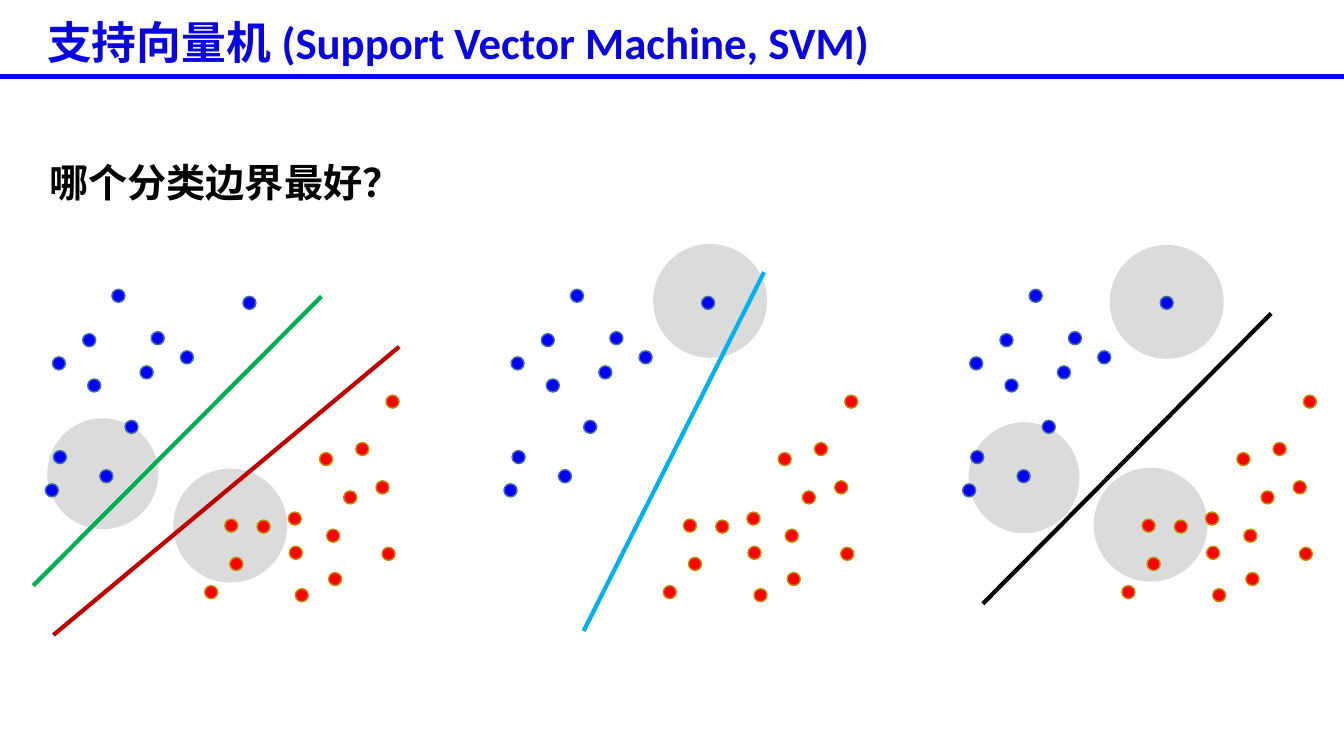
from dataclasses import dataclass

from lxml import etree
from pptx import Presentation
from pptx import util as u
from pptx.dml.color import RGBColor
from pptx.enum import shapes, text
from pptx.oxml.ns import qn

CELL = u.Inches(0.1)
SLIDE_COLUMNS, SLIDE_ROWS = 133.33, 75
PANEL_PITCH = 45.5
DOT_SIZE = 1.3
CJK_FONT = "Noto Sans CJK SC"


@dataclass(frozen=True)
class Halo:
    column: float
    row: float
    size: float = 11.3


@dataclass(frozen=True)
class Boundary:
    start: tuple[float, float]
    end: tuple[float, float]
    color: str
    width: float = 3


@dataclass(frozen=True)
class Panel:
    boundaries: tuple[Boundary, ...]
    halos: tuple[Halo, ...]


@dataclass(frozen=True)
class SampleClass:
    fill: str
    outline: str
    dots: tuple[tuple[float, float], ...]


@dataclass(frozen=True)
class Caption:
    words: str
    box: tuple[float, float, float, float]
    size: float
    font: str
    color: str
    line_spacing: float
    anchor: text.MSO_ANCHOR


PANELS = (
    Panel(
        (Boundary((31.9, 29.4), (3.3, 58.1), "00B050"),
         Boundary((39.6, 34.4), (5.3, 63), "C00000")),
        (Halo(17.2, 46.5), Halo(4.7, 41.5, 11)),
    ),
    Panel(
        (Boundary((30.3, 27), (12.4, 62.6), "00B0F0"),),
        (Halo(19.3, 24.2),),
    ),
    Panel(
        (Boundary((35.1, 31.1), (6.5, 59.9), "000000"),),
        (Halo(17.5, 46.4), Halo(5.1, 41.9, 11), Halo(19.1, 24.3)),
    ),
)

SAMPLES = (
    SampleClass("0000FF", "43739E", (
        (5.2, 35.4), (4.5, 48), (24.1, 29.4), (9.9, 46.6),
        (17.9, 34.8), (13.9, 36.3), (8.7, 37.6), (15, 32.9),
        (5.3, 44.7), (11.1, 28.7), (12.4, 41.7), (8.2, 33.1),
    )),
    SampleClass("FF0000", "BF9000", (
        (37.9, 54.3), (20.3, 58.1), (22.8, 55.3), (22.3, 51.5),
        (25.5, 51.6), (32.6, 56.8), (29.3, 58.4), (28.7, 54.2),
        (38.3, 39.2), (34.1, 48.7), (37.3, 47.7), (31.7, 44.9),
        (28.6, 50.8), (35.3, 43.9), (32.4, 52.5),
    )),
)

TITLE_RULE = Boundary((0, 7.6), (SLIDE_COLUMNS, 7.6), "0000FF", 4)

CAPTIONS = (
    Caption("哪个分类边界最好？", (3.9, 12.9, 72.6, 7.7), 28, CJK_FONT,
            "000000", 1.5, text.MSO_ANCHOR.TOP),
    Caption("支持向量机 (Support Vector Machine, SVM)", (3.7, 1.4, 115, 6.2),
            32, "Calibri", "0A05DF", 0.9, text.MSO_ANCHOR.MIDDLE),
)


def grid(cells: float) -> int:
    return round(cells * CELL)


def rgb(value: str) -> RGBColor:
    return RGBColor.from_string(value)


def draw_round(parent, kind, column: float, row: float, size: float,
               fill: str, outline: str | None = None) -> None:
    disc = parent.add_shape(kind, grid(column), grid(row), grid(size), grid(size))
    disc.shadow.inherit = False
    disc.fill.solid()
    disc.fill.fore_color.rgb = rgb(fill)
    if outline is None:
        disc.line.fill.background()
    else:
        disc.line.color.rgb = rgb(outline)
        disc.line.width = u.Pt(1)


def draw_boundary(parent, boundary: Boundary, offset: float = 0) -> None:
    (x1, y1), (x2, y2) = boundary.start, boundary.end
    line = parent.add_connector(
        shapes.MSO_CONNECTOR.STRAIGHT,
        grid(x1 + offset), grid(y1), grid(x2 + offset), grid(y2))
    line.line.color.rgb = rgb(boundary.color)
    line.line.width = u.Pt(boundary.width)
    etree.SubElement(line._element.spPr, qn("a:effectLst"))


def draw_halos(parent, panel: Panel, offset: float) -> None:
    for halo in panel.halos:
        draw_round(parent, shapes.MSO_SHAPE.OVAL, halo.column + offset,
                   halo.row, halo.size, "DBDBDB")


def draw_scatter(parent, panel: Panel, offset: float) -> None:
    for sample in SAMPLES:
        for column, row in sample.dots:
            draw_round(parent, shapes.MSO_SHAPE.FLOWCHART_CONNECTOR,
                       column + offset, row, DOT_SIZE, sample.fill, sample.outline)
    for boundary in panel.boundaries:
        draw_boundary(parent, boundary, offset)


def draw_caption(parent, caption: Caption) -> None:
    frame = parent.add_textbox(*map(grid, caption.box)).text_frame
    frame.word_wrap = True
    frame.vertical_anchor = caption.anchor
    paragraph = frame.paragraphs[0]
    paragraph.line_spacing = caption.line_spacing
    paragraph.text = caption.words
    paragraph.font.size = u.Pt(caption.size)
    paragraph.font.bold = True
    paragraph.font.name = caption.font
    paragraph.font.color.rgb = rgb(caption.color)
    run_style = paragraph.runs[0].font._element
    etree.SubElement(run_style, qn("a:ea"), typeface=CJK_FONT)


def main() -> None:
    deck = Presentation()
    deck.slide_width = grid(SLIDE_COLUMNS)
    deck.slide_height = grid(SLIDE_ROWS)
    canvas = deck.slides.add_slide(deck.slide_layouts[6]).shapes

    for index, panel in enumerate(PANELS):
        draw_halos(canvas, panel, index * PANEL_PITCH)
    for index, panel in enumerate(PANELS):
        draw_scatter(canvas.add_group_shape().shapes, panel, index * PANEL_PITCH)

    draw_boundary(canvas, TITLE_RULE)
    for caption in CAPTIONS:
        draw_caption(canvas, caption)

    deck.save("out.pptx")


if __name__ == "__main__":
    main()
